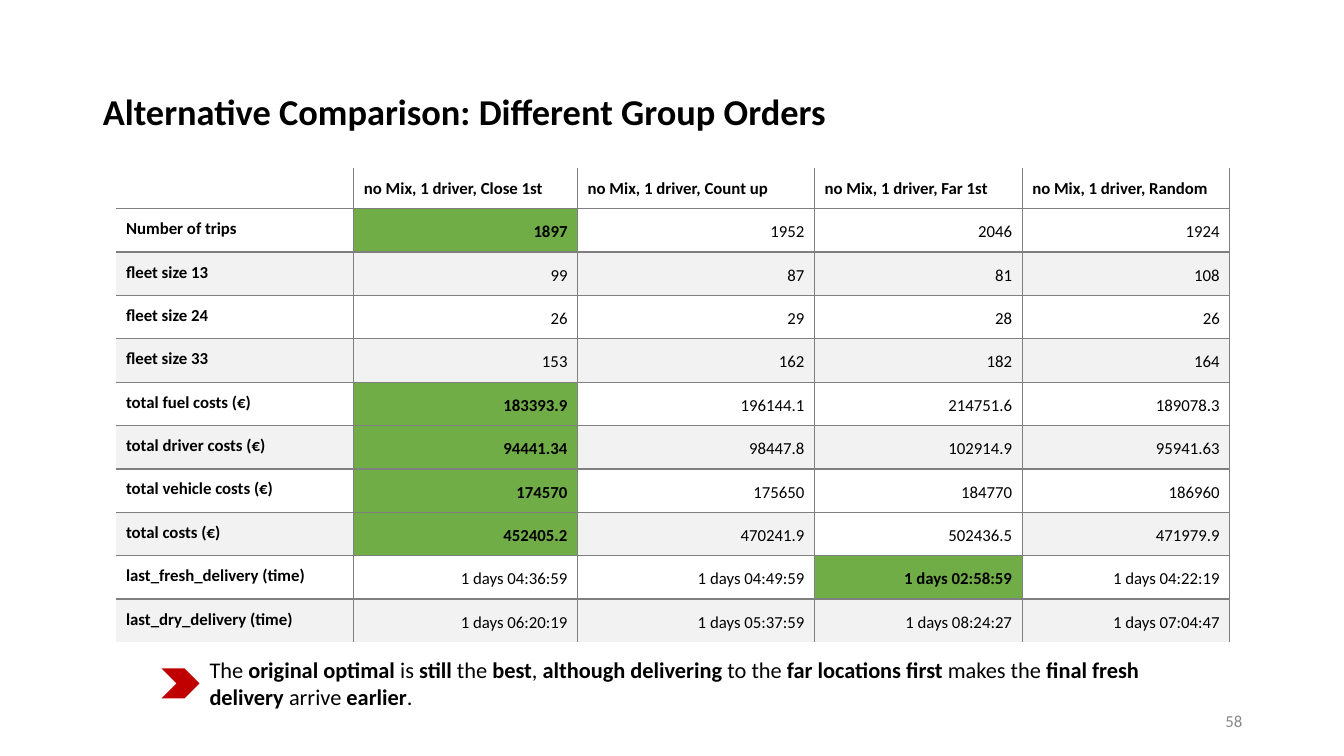
from dataclasses import dataclass

from lxml.etree import SubElement as Sub
from pptx import Presentation
from pptx.dml.color import RGBColor as Rgb
from pptx.enum.shapes import MSO_SHAPE as Shape
from pptx.enum.text import MSO_ANCHOR as Anchor, MSO_AUTO_SIZE as Auto, PP_ALIGN as Align
from pptx.oxml.ns import qn
from pptx.util import Inches, Pt


@dataclass(frozen=True)
class Theme:
    font: str = "Calibri"
    ink: str = "000000"
    grey: str = "888888"
    rule: str = "7F7F7F"
    band: str = "F2F2F2"
    best: str = "70AD47"
    mark: str = "C00000"
    title: int = 26
    note: int = 16
    cell: int = 12


THEME = Theme()
WIDE, HIGH = Inches(13.33), Inches(7.5)
PAD = Inches(0.1)
NO_GRID = "{2D5ABB26-0587-4C30-8999-92F81FD0307C}"

COLS = [17.7, 16.65, 17.63, 15.45, 15.45]
HEAD, ROW = 5.2, 4.93
DATA = [
    ["", "no Mix, 1 driver, Close 1st", "no Mix, 1 driver, Count up",
     "no Mix, 1 driver, Far 1st", "no Mix, 1 driver, Random"],
    ["Number of trips", "1897", "1952", "2046", "1924"],
    ["fleet size 13", "99", "87", "81", "108"],
    ["fleet size 24", "26", "29", "28", "26"],
    ["fleet size 33", "153", "162", "182", "164"],
    ["total fuel costs (€)", "183393.9", "196144.1", "214751.6", "189078.3"],
    ["total driver costs (€)", "94441.34", "98447.8", "102914.9", "95941.63"],
    ["total vehicle costs (€)", "174570", "175650", "184770", "186960"],
    ["total costs (€)", "452405.2", "470241.9", "502436.5", "471979.9"],
    ["last_fresh_delivery (time)", "1 days 04:36:59", "1 days 04:49:59",
     "1 days 02:58:59", "1 days 04:22:19"],
    ["last_dry_delivery (time)", "1 days 06:20:19", "1 days 05:37:59",
     "1 days 08:24:27", "1 days 07:04:47"],
]
BEST = {(1, 1), (5, 1), (6, 1), (7, 1), (8, 1), (9, 3)}
UNBANDED = {(8, 3)}
# Asterisks enclose the bold words.
NOTE = ("The *original optimal *is *still *the* best*, *although delivering *to the "
        "*far locations first *makes the *final fresh delivery* arrive *earlier*.")


def across(share):
    """Length of a percentage of the slide's width."""
    return round(WIDE * share / 100)


def down(share):
    """Length of a percentage of the slide's height."""
    return round(HIGH * share / 100)


def area(left, top, wide, high):
    return across(left), down(top), across(wide), down(high)


def style(run, size, bold=False, color=THEME.ink):
    font = run.font
    font.name, font.size, font.bold = THEME.font, Pt(size), bold
    font.color.rgb = Rgb.from_string(color)


def add_title(slide, text):
    title = slide.shapes.title
    title.left, title.top, title.width, title.height = area(6.9, 5.33, 79.89, 19.33)
    frame = title.text_frame
    frame.text = text
    frame.auto_size = Auto.NONE
    frame.vertical_anchor = Anchor.MIDDLE
    para = frame.paragraphs[0]
    para.alignment, para.line_spacing = Align.LEFT, 0.9
    style(para.runs[0], THEME.title, True)


def add_text(slide, place, text, size, color=THEME.ink, align=Align.LEFT, anchor=Anchor.TOP):
    """Add a text box in which asterisks enclose bold words."""
    frame = slide.shapes.add_textbox(*place).text_frame
    frame.word_wrap = True
    frame.vertical_anchor = anchor
    para = frame.paragraphs[0]
    para.alignment = align
    for i, part in enumerate(text.split("*")):
        run = para.add_run()
        run.text = part
        style(run, size, i % 2 == 1, color)


def add_rules(cell, sides):
    """Draw lines on the named sides, given in the order L, R, T, B."""
    props = cell._tc.get_or_add_tcPr()
    for side in sides:
        line = Sub(props, qn(f"a:ln{side}"), w=str(Pt(1)))
        Sub(Sub(line, qn("a:solidFill")), qn("a:srgbClr"), val=THEME.rule)


def paint(cell, row, col):
    color = None
    if (row, col) in BEST:
        color = THEME.best
    elif row and row % 2 == 0 and (row, col) not in UNBANDED:
        color = THEME.band
    if color:
        cell.fill.solid()
        cell.fill.fore_color.rgb = Rgb.from_string(color)
    else:
        cell.fill.background()


def fill_cell(cell, text, row, col):
    cell.margin_left = cell.margin_right = cell.margin_top = cell.margin_bottom = PAD
    cell.vertical_anchor = Anchor.TOP if row else Anchor.MIDDLE
    cell.text_frame.text = text
    para = cell.text_frame.paragraphs[0]
    if row and col:
        para.alignment, para.line_spacing = Align.RIGHT, 1.15
    style(para.runs[0], THEME.cell, not (row and col) or (row, col) in BEST)


def add_grid(slide):
    last = len(DATA) - 1
    place = area(8.63, 22.27, sum(COLS), HEAD + ROW * last)
    table = slide.shapes.add_table(len(DATA), len(COLS), *place).table
    table.first_row = table.horz_banding = False
    table._tbl.tblPr.find(qn("a:tableStyleId")).text = NO_GRID
    for col, share in enumerate(COLS):
        table.columns[col].width = across(share)
    for row, texts in enumerate(DATA):
        table.rows[row].height = down(ROW if row else HEAD)
        for col, text in enumerate(texts):
            cell = table.cell(row, col)
            if text:
                fill_cell(cell, text, row, col)
            sides = {"L": col, "R": True, "T": row, "B": row < last}
            add_rules(cell, [side for side in sides if sides[side]])
            paint(cell, row, col)


def add_mark(slide, place):
    mark = slide.shapes.add_shape(Shape.CHEVRON, *place)
    mark.shadow.inherit = False
    mark.fill.solid()
    mark.fill.fore_color.rgb = Rgb.from_string(THEME.mark)
    mark.line.fill.background()


def main():
    deck = Presentation()
    deck.slide_width, deck.slide_height = WIDE, HIGH
    slide = deck.slides.add_slide(deck.slide_layouts.get_by_name("Title Only"))
    add_text(slide, area(70.67, 92.67, 22.51, 5.33), "58", THEME.cell, THEME.grey,
             Align.RIGHT, Anchor.MIDDLE)
    add_title(slide, "Alternative Comparison: Different Group Orders")
    add_grid(slide)
    add_mark(slide, area(12, 88.4, 2.85, 4))
    add_text(slide, area(14.85, 86.13, 71.79, 8.53), NOTE, THEME.note)
    deck.save("out.pptx")


if __name__ == "__main__":
    main()
